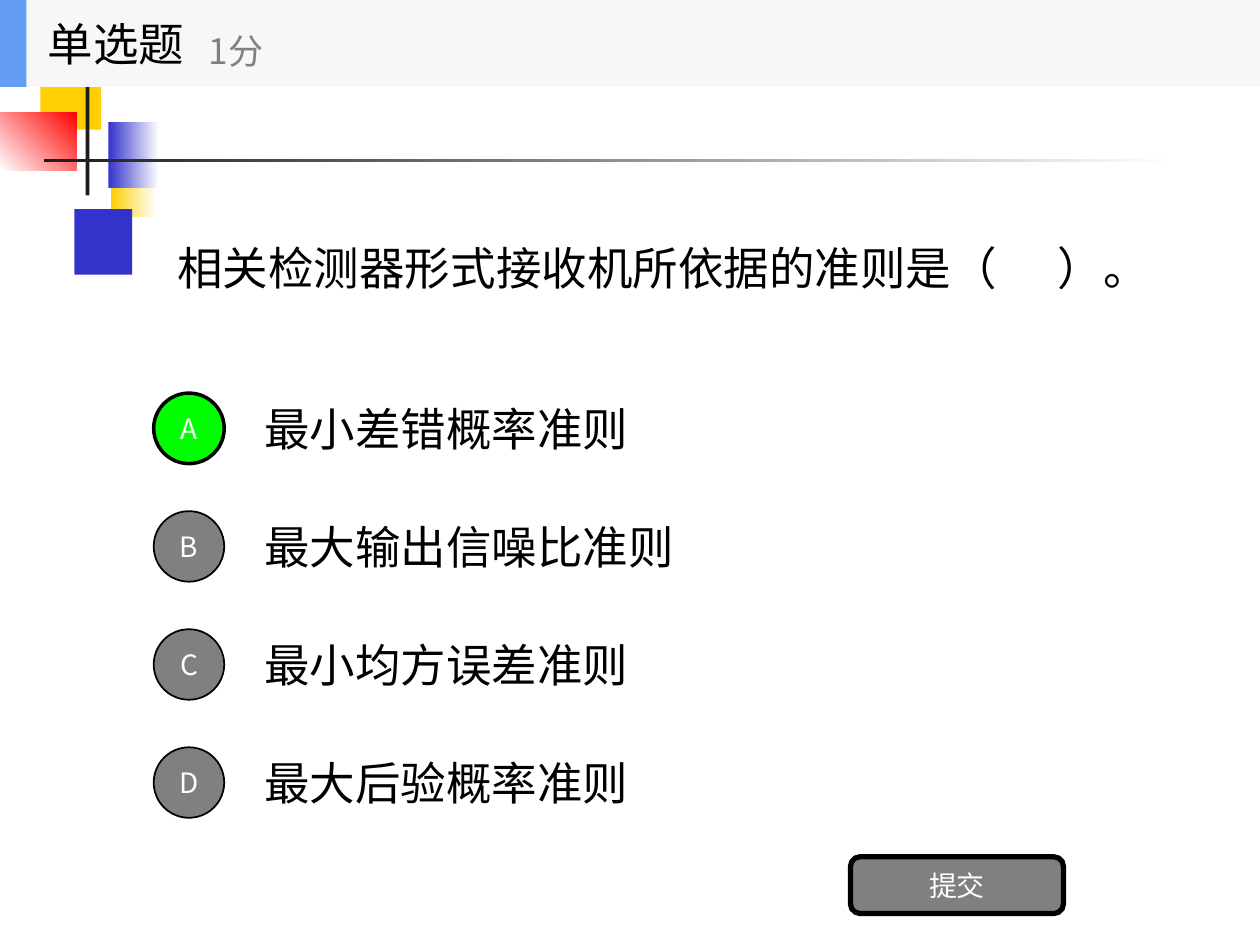
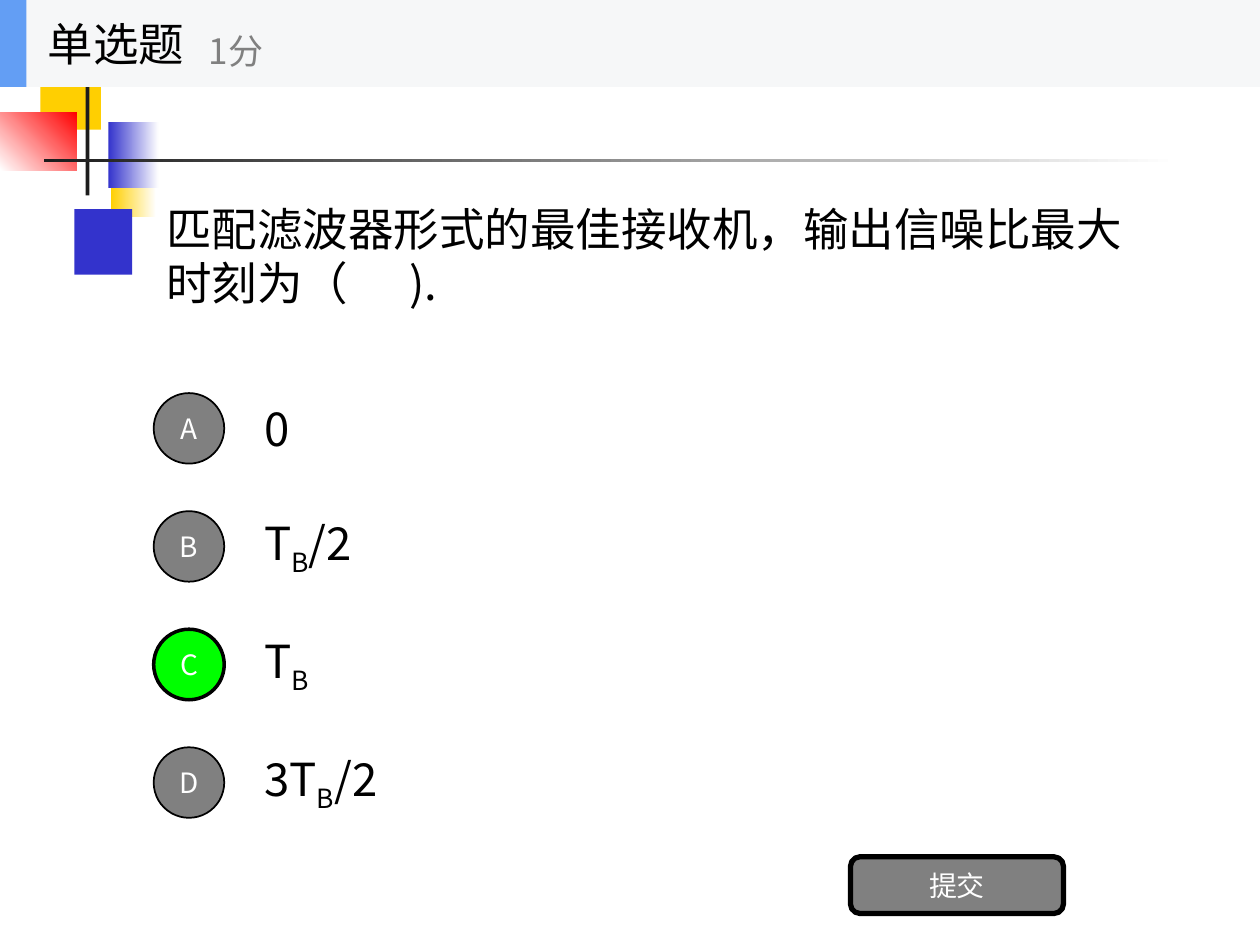
from pptx import Presentation
from pptx.dml.color import RGBColor as RGB
from pptx.enum.shapes import MSO_SHAPE as SHAPE
from pptx.enum.text import MSO_ANCHOR as ANCHOR, MSO_AUTO_SIZE as AUTO, PP_ALIGN as ALIGN
from pptx.oxml.ns import qn
from pptx.util import Inches, Pt
from lxml.etree import SubElement

FONT = "Noto Sans CJK SC"
COLORS = {
    "white": "FFFFFF", "black": "000000", "ink": "1C1C1C", "grey": "808080",
    "band": "F6F7F8", "accent": "639EF4", "right": "00FF00",
    "blue": "3333CC", "yellow": "FFCF01", "red": "FF0000",
}
COLS, ROWS = 100, 75                      # grid over the whole slide
OPTION_TOP, OPTION_PITCH = 30.5, 9.37     # first answer row and row step

# Corner ornament, back to front: grid box, fill colours, gradient angle
ORNAMENT = [
    ((8.8, 12, 3.6, 5.2), ("yellow", "white"), 0),
    ((5.9, 16.6, 4.6, 5.2), ("blue",), 0),
    ((3.2, 5.1, 4.8, 5.2), ("yellow",), 0),
    ((8.6, 9.7, 4, 5.2), ("blue", "white"), 0),
    ((0, 8.9, 6.1, 4.6), ("white", "red"), 45),
    ((6.8, 4, 0.3, 11.5), ("ink",), 0),
    ((3.5, 12.6, 90, 0.3), ("ink", "white"), 0),
]

# Question, its grid box, answers (odd parts are subscripts), right letter
QUIZ = [
    ("相关检测器形式接收机所依据的准则是（      ）。", (13.1, 11.3, 80, 19.9),
     [("最小差错概率准则",), ("最大输出信噪比准则",),
      ("最小均方误差准则",), ("最大后验概率准则",)], "A"),
    ("匹配滤波器形式的最佳接收机，输出信噪比最大时刻为（      ).", (12.2, 12, 80, 16.5),
     [("0",), ("T", "B", "/2"), ("T", "B"), ("3T", "B", "/2")], "C"),
]


def color(name):
    return RGB.from_string(COLORS[name])


class Deck:
    def __init__(self):
        self.prs = Presentation()
        self.prs.slide_width, self.prs.slide_height = Inches(10), Inches(7.5)
        self.slide = None

    def new_slide(self):
        self.slide = self.prs.slides.add_slide(self.prs.slide_layouts[5])

    def box(self, col, row, cols, rows):
        """Turn a grid box into left, top, width, height."""
        w, h = self.prs.slide_width / COLS, self.prs.slide_height / ROWS
        return [int(n) for n in (col * w, row * h, cols * w, rows * h)]

    def set_text(self, sp, parts, size, ink="black", align=ALIGN.LEFT):
        tf = sp.text_frame
        tf.word_wrap, tf.auto_size = True, AUTO.NONE
        tf.vertical_anchor = ANCHOR.MIDDLE
        p = tf.paragraphs[0]
        p.alignment = align
        p.font.size, p.font.name = Pt(size), FONT
        p.font.color.rgb = color(ink)
        SubElement(p._p.pPr.find(qn("a:defRPr")), qn("a:ea"), typeface=FONT)
        for i, part in enumerate(parts):
            r = p.add_run()
            r.text = part
            if i % 2:
                r._r.get_or_add_rPr().set("baseline", "-25000")

    def text(self, grid, parts, size=26, ink="black"):
        self.set_text(self.slide.shapes.add_textbox(*self.box(*grid)), parts, size, ink)

    def title(self, grid, text):
        sp = self.slide.shapes.title
        sp.left, sp.top, sp.width, sp.height = self.box(*grid)
        self.set_text(sp, [text], 26)
        self.slide.shapes._spTree.append(sp._element)   # bring above the band

    def shape(self, grid, fills, angle=0, kind=SHAPE.RECTANGLE, line=0):
        sp = self.slide.shapes.add_shape(kind, *self.box(*grid))
        sp.shadow.inherit = False
        if len(fills) == 1:
            sp.fill.solid()
            sp.fill.fore_color.rgb = color(fills[0])
        else:
            sp.fill.gradient()
            sp.fill.gradient_angle = angle
            for position, stop in enumerate(sp.fill.gradient_stops):
                stop.color.rgb = color(fills[position])
                stop.position = position
        if line:
            sp.line.color.rgb, sp.line.width = color("black"), Pt(line)
        else:
            sp.line.fill.background()
        return sp

    def button(self, grid, label, kind, fill="grey", line=1):
        sp = self.shape(grid, [fill], kind=kind, line=line)
        tf = sp.text_frame
        tf.margin_left = tf.margin_right = tf.margin_top = tf.margin_bottom = 0
        self.set_text(sp, [label], 16, "white", ALIGN.CENTER)

    def header(self):
        self.shape((0, 0, 100, 6.9), ["band"])
        self.shape((0, 0, 2.1, 6.9), ["accent"])
        self.title((2.8, 0, 20.8, 6.9), "单选题")
        self.text((15.6, 1.2, 25, 5.6), ["1分"], 20, "grey")

    def quiz(self, question, grid, answers, right):
        self.new_slide()
        for piece in ORNAMENT:
            self.shape(*piece)
        self.text(grid, [question])
        # Answers with their letter buttons
        for i, (letter, parts) in enumerate(zip("ABCD", answers)):
            row = OPTION_TOP + i * OPTION_PITCH
            self.text((20, row, 70, 7), parts)
            fill, line = ("right", 2) if letter == right else ("grey", 1)
            self.button((12.2, row + 0.7, 5.6, 5.6), letter, SHAPE.OVAL, fill, line)
        self.button((67.5, 68, 16.9, 4.5), "提交", SHAPE.ROUNDED_RECTANGLE, line=3)
        self.header()


def main():
    deck = Deck()
    for item in QUIZ:
        deck.quiz(*item)
    deck.prs.save("out.pptx")


if __name__ == "__main__":
    main()
